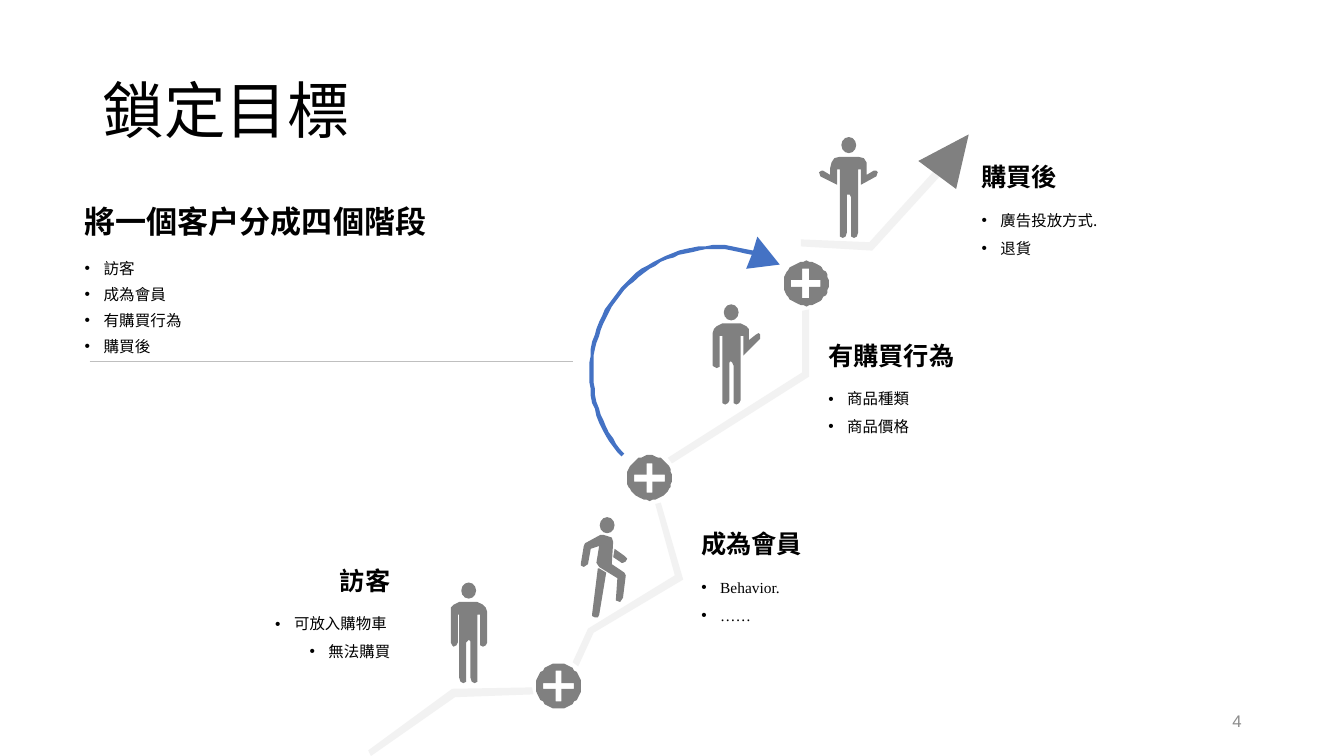
from math import cos, radians, sin

from lxml.etree import SubElement
from pptx import Presentation
from pptx.dml.color import RGBColor
from pptx.enum.shapes import MSO_CONNECTOR, MSO_SHAPE
from pptx.enum.text import MSO_ANCHOR, MSO_AUTO_SIZE, PP_ALIGN
from pptx.oxml.ns import qn
from pptx.util import Pt

TC, SC, TIMES = "Noto Sans CJK TC", "Noto Sans CJK SC", "Times New Roman"
GREY, PALE, BLUE = "808080", "F2F2F2", "4472C4"

SHOULDER = [(0, 0), (6.5, 0.3), (10.5, 1.8), (12.4, 4.2)]
LEG = [(6.5, 9.4), (6.5, 54.7), (5.8, 57.2), (4, 58), (2.2, 57.2),
       (1.4, 54.7), (1.4, 29.5), (1, 27.8), (0, 27.4)]
ARM_DOWN = [(12.9, 7.2), (12.9, 29.5), (12.2, 31.2), (10.4, 31.9),
            (8.6, 31.2), (7.9, 29.5), (7.9, 9.4)]
ARM_BENT = [(12.6, 7.2), (12.6, 12.2), (17.6, 7.9), (19.4, 6.8),
            (21, 8.2), (20.5, 10.8), (8.3, 23), (8.3, 9.4)]
ARM_OPEN = [(12.9, 7.9), (12.9, 13), (18, 10.1), (19.6, 10),
            (20.9, 11.7), (20.2, 14.2), (8.6, 20.2), (8.6, 9.4)]

RUNNER = [
    [(414.7, 401.8), (416.9, 390.2), (418.3, 388.4), (429.1, 382.3),
     (431.3, 381.6), (437, 383.8), (438.5, 386.6), (437, 403.2), (445.7, 409),
     (447.1, 411.1), (445, 427), (442.8, 429.8), (440, 428.9), (439.9, 427),
     (441.4, 413.3), (427.7, 404.6), (426.2, 401.8), (427.7, 389.5),
     (421.9, 392.4), (419.8, 403.2), (416.9, 405.4), (415.1, 404.2)],
    [(422.6, 437.8), (427, 406.1), (427.7, 406.1), (432.7, 409),
     (428.4, 439.2), (426.9, 441.2), (424.8, 441.4), (423.1, 440.2)],
    [(439.2, 392.4), (446.4, 396.7), (447.6, 398.9), (447.1, 401),
     (445.3, 402.3), (443.5, 401.8), (438.5, 398.2)],
]

ROADS = [
    [(380.2, 491), (323.3, 492.5), (262.8, 535.7), (265, 540),
     (324.7, 498.2), (380.9, 496.1)],
    [(468, 360), (481.7, 411.1), (420.5, 448.6), (409, 473),
     (412.6, 475.9), (424.1, 452.2), (488.2, 414), (472.3, 358.6)],
    [(573.1, 221.8), (573.1, 266.4), (477.4, 326.9), (480.2, 331.2),
     (578.2, 269.3), (578.2, 221)],
    [(680.4, 108), (620.6, 172.8), (572.4, 170.6), (571.7, 175.7),
     (622.8, 178.6), (684, 111.6)],
]

STAGES = [
    ("購買後", ["廣告投放方式.", "退貨"], TC, 694.1, 105.8, 213, "l"),
    ("有購買行為", ["商品種類", "商品價格"], TC, 584.6, 233.3, 322.6, "l"),
    ("成為會員", ["Behavior.", "……"], TIMES, 493.9, 368, 413.3, "l"),
    ("訪客", ["可放入購物車 ", "無法購買"], TC, 52.6, 394, 233.3, "r"),
]


def color(hex_code):
    """Turn a hex string into a colour."""
    return RGBColor.from_string(hex_code)


def arc(cx, cy, radius, start, end, steps=48):
    """List points along a circular arc, angles in degrees."""
    angles = [radians(start + (end - start) * i / steps) for i in range(steps + 1)]
    return [(cx + radius * cos(a), cy + radius * sin(a)) for a in angles]


def write(p, text, font=TC, size=11, fill="000000", bold=False, align="l",
          spacing=1, bullet=False):
    """Write formatted text into a paragraph."""
    p.alignment = {"l": PP_ALIGN.LEFT, "r": PP_ALIGN.RIGHT}[align]
    p.line_spacing = spacing
    p.space_before = Pt(0)
    r = p.add_run()
    r.text = text
    r.font.name, r.font.size, r.font.bold = font, Pt(size), bold
    r.font.color.rgb = color(fill)
    SubElement(r.font._element, qn("a:ea")).set("typeface", font)
    if bullet:
        pPr = p._p.get_or_add_pPr()
        pPr.set("marL", str(Pt(13.5)))
        pPr.set("indent", str(Pt(-13.5)))
        SubElement(pPr, qn("a:buFont")).set("typeface", "Arial")
        SubElement(pPr, qn("a:buChar")).set("char", "•")


class Canvas:
    """Hold the style and the current slide."""

    def __init__(self, slide):
        """Keep the slide to draw on."""
        self.s = slide

    def text(self, lines, x, y, w, h, holder=None, anchor=MSO_ANCHOR.TOP, **fmt):
        """Place lines of text in a placeholder or a new text box."""
        sp = holder or self.s.shapes.add_textbox(0, 0, 0, 0)
        sp.left, sp.top, sp.width, sp.height = Pt(x), Pt(y), Pt(w), Pt(h)
        tf = sp.text_frame
        tf.word_wrap, tf.auto_size = True, MSO_AUTO_SIZE.NONE
        tf.vertical_anchor = anchor
        for i, line in enumerate(lines):
            write(tf.add_paragraph() if i else tf.paragraphs[0], line, **fmt)

    def paint(self, sp, fill):
        """Give a shape a flat fill without line or shadow."""
        sp.shadow.inherit = False
        sp.fill.solid()
        sp.fill.fore_color.rgb = color(fill)
        sp.line.fill.background()

    def outline(self, fill, *contours):
        """Draw closed contours as one shape."""
        fb = self.s.shapes.build_freeform(*contours[0][0], scale=Pt(1))
        fb.add_line_segments(contours[0][1:])
        for points in contours[1:]:
            fb.move_to(*points[0])
            fb.add_line_segments(points[1:])
        self.paint(fb.convert_to_shape(), fill)

    def head(self, cx, top):
        """Draw the head of a figure."""
        sp = self.s.shapes.add_shape(
            MSO_SHAPE.OVAL, Pt(cx - 5.3), Pt(top), Pt(10.6), Pt(11.5))
        self.paint(sp, GREY)

    def figure(self, cx, top, left_arm, right_arm):
        """Draw a standing person."""
        self.head(cx, top - 13.7)
        right = [(cx + x, top + y) for x, y in SHOULDER + right_arm + LEG]
        left = [(cx - x, top + y) for x, y in SHOULDER + left_arm + LEG]
        self.outline(GREY, right + left[::-1])

    def badge(self, cx, cy):
        """Draw a disc with a plus cut out."""
        a, b = 10.8, 2.4
        plus = [(a, b), (b, b), (b, a), (-b, a), (-b, b), (-a, b),
                (-a, -b), (-b, -b), (-b, -a), (b, -a), (b, -b), (a, -b)]
        self.outline(GREY, arc(cx, cy, 16.1, 0, 360),
                     [(cx + x, cy + y) for x, y in plus])

    def rule(self, x1, y1, x2, y2, fill, width):
        """Draw a thin straight line."""
        c = self.s.shapes.add_connector(
            MSO_CONNECTOR.STRAIGHT, Pt(x1), Pt(y1), Pt(x2), Pt(y2))
        c.line.color.rgb, c.line.width = color(fill), Pt(width)
        SubElement(c._element.spPr, qn("a:effectLst"))


def main():
    """Build the slide and save it."""
    prs = Presentation()
    prs.slide_width, prs.slide_height = Pt(960), Pt(540)
    s = prs.slides.add_slide(prs.slide_layouts[1])
    c = Canvas(s)
    c.text(["鎖定目標"], 66, 28.8, 828, 104.4, holder=s.shapes.title,
           anchor=MSO_ANCHOR.MIDDLE, size=44, spacing=0.9)
    c.text(["4"], 678, 500.4, 216, 28.8, anchor=MSO_ANCHOR.MIDDLE,
           font="Arial", size=12, fill="8C8C8C", align="r")

    c.figure(334.8, 429.8, ARM_DOWN, ARM_DOWN)
    c.figure(522.3, 231.1, ARM_DOWN, ARM_BENT)
    c.figure(606.3, 111.6, ARM_OPEN, ARM_OPEN)
    c.head(433.7, 369.4)
    for part in RUNNER:
        c.outline(GREY, part)

    tip = [(541.4, 169.2), (557.3, 188.6), (532.8, 191.5)]
    c.outline(BLUE, arc(511.2, 265.7, 90.5, 138, 287) + tip
              + arc(511.2, 265.7, 87.5, 287, 138))
    for road in ROADS:
        c.outline(PALE, road)
    for cx, cy in [(463.9, 341.4), (399, 490), (575.7, 202.5)]:
        c.badge(cx, cy)
    c.outline(GREY, [(655.9, 115.2), (691.9, 95.8), (682.6, 135.4)])

    for name, items, font, x, y, w, align in STAGES:
        c.text([name], x, y, w, 34.6, anchor=MSO_ANCHOR.BOTTOM,
               size=18, bold=True, align=align)
        c.text(items, x, y + 34.8, w, 55.4, font=font, align=align,
               spacing=1.5, bullet=True)
    c.text(["將一個客户分成四個階段"], 53.3, 140.4, 263.5, 34.6,
           anchor=MSO_ANCHOR.BOTTOM, size=22.2, bold=True)
    c.text(["訪客", "成為會員", "有購買行為", "購買後"], 53.3, 175.7, 263.5, 82.8,
           holder=s.placeholders[1], font=SC, size=11.1, spacing=1.4, bullet=True)
    c.rule(64.1, 257.8, 409, 257.8, "BFBFBF", 0.25)
    prs.save("out.pptx")


if __name__ == "__main__":
    main()
